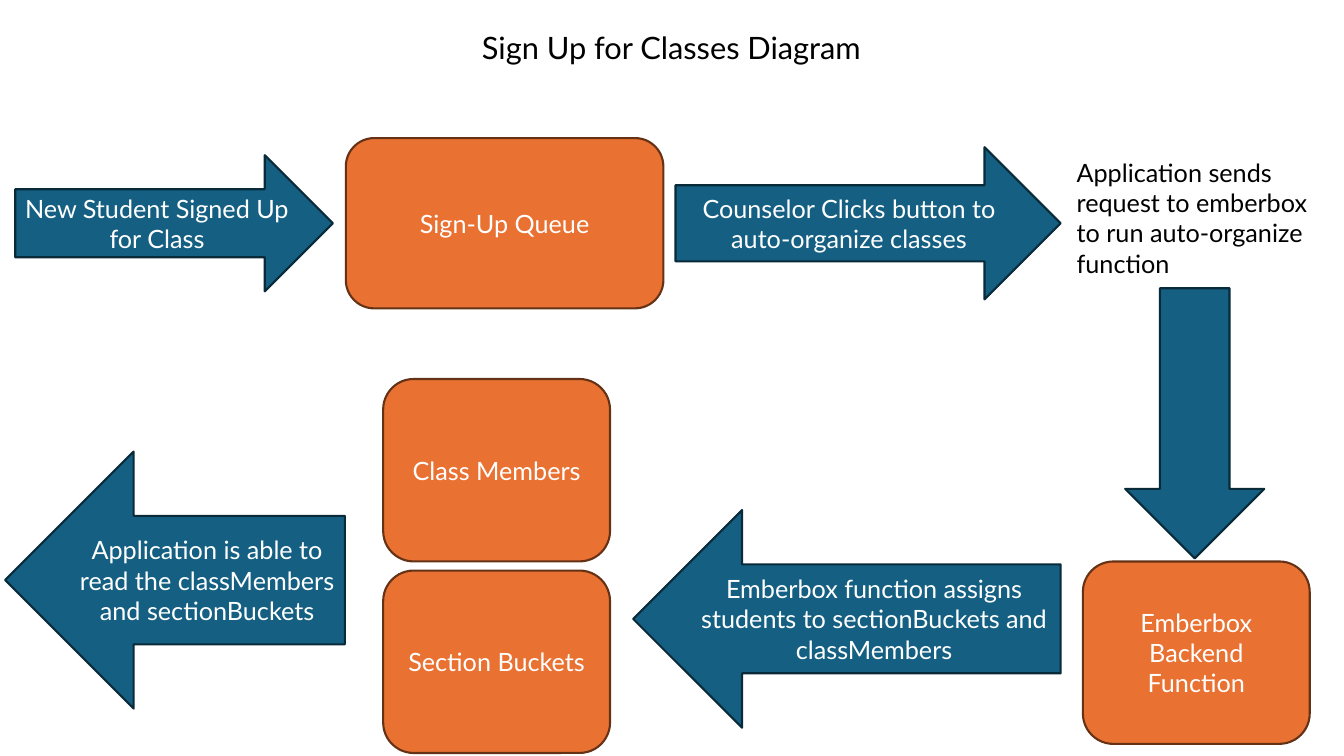
from pptx import Presentation
from pptx.dml.color import RGBColor
from pptx.enum.shapes import MSO_SHAPE
from pptx.enum.text import MSO_ANCHOR, MSO_AUTO_SIZE, PP_ALIGN
from pptx.util import Inches, Pt

SLIDE_WIDTH = Inches(13.33)
SLIDE_HEIGHT = Inches(7.5)
FONT = "Lato"
COLORS = {
    "step": "156082",
    "step_line": "092A39",
    "store": "E97132",
    "store_line": "663216",
    "dark": "000000",
    "light": "FFFFFF",
}
STORE_SIZE = (16.88, 24.13)

STEPS = [
    (MSO_SHAPE.RIGHT_ARROW, (1.13, 20.53, 23.63, 18), "New Student Signed Up for Class"),
    (MSO_SHAPE.RIGHT_ARROW, (50.26, 19.47, 28.66, 20.13),
     "Counselor Clicks button to auto-organize classes"),
    (MSO_SHAPE.DOWN_ARROW, (83.72, 38.13, 10.35, 35.73), ""),
    (MSO_SHAPE.LEFT_ARROW, (47.11, 67.47, 31.81, 28.8),
     "Emberbox function assigns students to sectionBuckets and classMembers"),
    (MSO_SHAPE.LEFT_ARROW, (0.38, 59.73, 25.28, 34),
     "Application is able to read the classMembers and sectionBuckets"),
]
STORES = [
    ((25.73, 18.27, 23.63, 22.53), "Sign-Up Queue"),
    ((80.57, 74.27, *STORE_SIZE), "Emberbox Backend Function"),
    ((28.51, 50.13, *STORE_SIZE), "Class Members"),
    ((28.51, 75.47, *STORE_SIZE), "Section Buckets"),
]


def color(name):
    return RGBColor.from_string(COLORS[name])


def place(percentages):
    totals = (SLIDE_WIDTH, SLIDE_HEIGHT) * 2
    return [round(total * share / 100) for total, share in zip(totals, percentages)]


def apply_format(target, values):
    for name, value in values.items():
        setattr(target, name, value)


def write_text(shape, text, size, color_name, alignment, frame_format):
    frame = shape.text_frame
    frame.text = text
    apply_format(frame, frame_format)
    paragraph = frame.paragraphs[0]
    apply_format(paragraph, {"alignment": alignment, "line_spacing": 1.0,
                             "space_before": Pt(0)})
    font = paragraph.runs[0].font
    apply_format(font, {"name": FONT, "size": Pt(size)})
    font.color.rgb = color(color_name)


def add_title(slide, box, text):
    title = slide.shapes.title
    apply_format(title, dict(zip(("left", "top", "width", "height"), place(box))))
    write_text(title, text, 22, "dark", PP_ALIGN.LEFT, {
        "word_wrap": False,
        "vertical_anchor": MSO_ANCHOR.TOP,
        "auto_size": MSO_AUTO_SIZE.SHAPE_TO_FIT_TEXT,
    })


def add_note(slide, box, text):
    note = slide.shapes.add_textbox(*place(box))
    write_text(note, text, 18, "dark", PP_ALIGN.LEFT, {
        "word_wrap": True,
        "auto_size": MSO_AUTO_SIZE.SHAPE_TO_FIT_TEXT,
    })


def add_block(slide, kind, box, text, role):
    block = slide.shapes.add_shape(kind, *place(box))
    block.shadow.inherit = False
    block.fill.solid()
    block.fill.fore_color.rgb = color(role)
    block.line.color.rgb = color(f"{role}_line")
    block.line.width = Pt(1.5)
    if text:
        write_text(block, text, 18, "light", PP_ALIGN.CENTER, {
            "word_wrap": True,
            "vertical_anchor": MSO_ANCHOR.MIDDLE,
        })


def main():
    presentation = Presentation()
    apply_format(presentation, {"slide_width": SLIDE_WIDTH, "slide_height": SLIDE_HEIGHT})
    slide = presentation.slides.add_slide(presentation.slide_layouts.get_by_name("Title Only"))
    add_title(slide, (35.11, 3.07, 29.71, 6.27), "Sign Up for Classes Diagram")
    for kind, box, text in STEPS:
        add_block(slide, kind, box, text, "step")
    for box, text in STORES:
        add_block(slide, MSO_SHAPE.ROUNDED_RECTANGLE, box, text, "store")
    add_note(slide, (79.37, 20.13, 19.05, 17.47),
             "Application sends request to emberbox to run auto-organize function")
    presentation.save("out.pptx")


if __name__ == "__main__":
    main()
